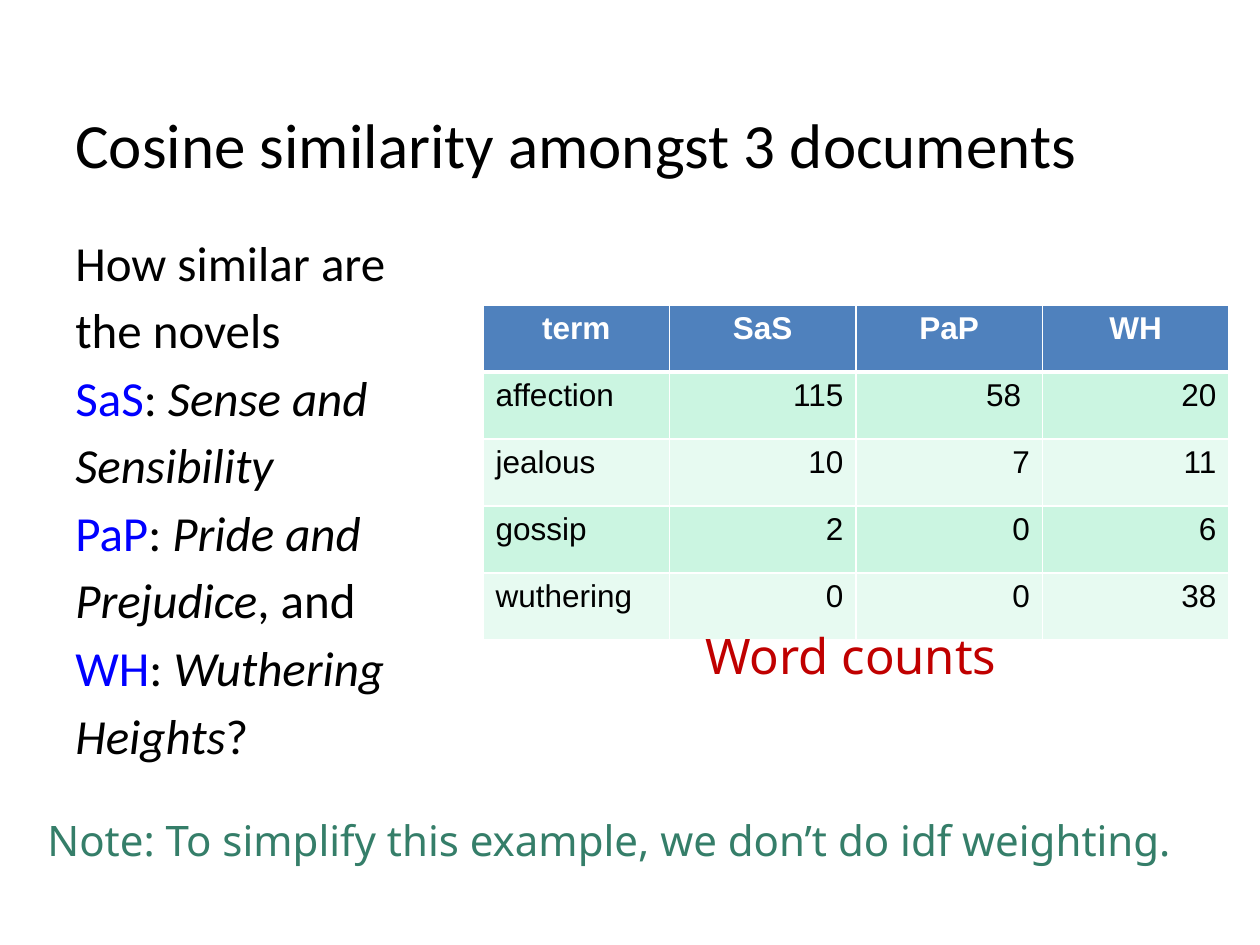
"""Build the slide on cosine similarity amongst three novels."""
from lxml import etree
from pptx import Presentation
from pptx import util as u
from pptx.dml.color import RGBColor
from pptx.enum import text
from pptx.oxml import ns

PX = u.Inches(1) // 126
BLACK = RGBColor(0x00, 0x00, 0x00)
WHITE = RGBColor(0xFF, 0xFF, 0xFF)
BLUE = RGBColor(0x00, 0x00, 0xFF)
RED = RGBColor(0xC0, 0x00, 0x00)
GREEN = RGBColor(0x35, 0x7E, 0x69)
HEADER_FILL = RGBColor(0x4F, 0x81, 0xBD)
BAND_FILLS = RGBColor(0xCB, 0xF5, 0xE1), RGBColor(0xE7, 0xFA, 0xF1)

PLAIN, NAME, NOVEL = (BLACK, False), (BLUE, False), (BLACK, True)
TITLE = [[("Cosine similarity amongst 3 documents", PLAIN)]]
QUESTION = [
    [("How similar are", PLAIN)],
    [("the novels", PLAIN)],
    [("SaS", NAME), (": ", PLAIN), ("Sense and", NOVEL)],
    [("Sensibility", NOVEL)],
    [("PaP", NAME), (": ", PLAIN), ("Pride and", NOVEL)],
    [("Prejudice", NOVEL), (", and", PLAIN)],
    [("WH", NAME), (": ", PLAIN), ("Wuthering", NOVEL)],
    [("Heights", NOVEL), ("?", PLAIN)],
]
CAPTION = [[("Word counts", (RED, False))]]
NOTE = [[("Note: To simplify this example, we don’t do idf weighting.", (GREEN, False))]]
COUNTS = [
    ("term", "SaS", "PaP", "WH"),
    ("affection", "115", "58 ", "20"),
    ("jealous", "10", "7", "11"),
    ("gossip", "2", "0", "6"),
    ("wuthering", "0", "0", "38"),
]
TABLE_BOX = (483, 305, 746, 335)


def scale(box):
    return [length * PX for length in box]


def style(run, font_name, size, color, bold=False, italic=False):
    font = run.font
    font.name, font.size, font.bold, font.italic = font_name, u.Pt(size), bold, italic
    font.color.rgb = color


def add_text(slide, box, paragraphs, font_name, size, wrap=True, space_before=0,
             anchor=text.MSO_ANCHOR.TOP):
    frame = slide.shapes.add_textbox(*scale(box)).text_frame
    frame.word_wrap = wrap
    frame.vertical_anchor = anchor
    for index, pieces in enumerate(paragraphs):
        paragraph = frame.add_paragraph() if index else frame.paragraphs[0]
        paragraph.space_before = u.Pt(space_before)
        for words, (color, italic) in pieces:
            run = paragraph.add_run()
            run.text = words
            style(run, font_name, size, color, italic=italic)


def set_borders(cell, widths):
    properties = cell._tc.get_or_add_tcPr()
    for position, (side, width) in enumerate(widths.items()):
        line = etree.Element(ns.qn(f"a:ln{side}"), w=str(u.Pt(width)))
        fill = etree.SubElement(line, ns.qn("a:solidFill"))
        etree.SubElement(fill, ns.qn("a:srgbClr"), val=str(WHITE))
        properties.insert(position, line)


def add_counts(slide):
    table = slide.shapes.add_table(len(COUNTS), len(COUNTS[0]), *scale(TABLE_BOX)).table
    for row, values in enumerate(COUNTS):
        header = row == 0
        for column, value in enumerate(values):
            cell = table.cell(row, column)
            cell.fill.solid()
            cell.fill.fore_color.rgb = HEADER_FILL if header else BAND_FILLS[(row - 1) % 2]
            set_borders(cell, {"L": 1, "R": 1, "T": 3 if row == 1 else 1, "B": 3 if header else 1})
            cell.text_frame.text = value
            paragraph = cell.text_frame.paragraphs[0]
            if header:
                paragraph.alignment = text.PP_ALIGN.CENTER
            else:
                paragraph.alignment = text.PP_ALIGN.RIGHT if column else text.PP_ALIGN.LEFT
            style(paragraph.runs[0], "Arial", 18, WHITE if header else BLACK, bold=header)


def main():
    presentation = Presentation()
    presentation.slide_width, presentation.slide_height = u.Inches(10), u.Inches(7.5)
    slide = presentation.slides.add_slide(presentation.slide_layouts[6])
    add_text(slide, (63, 67, 1187, 120), TITLE, "Calibri", 36, anchor=text.MSO_ANCHOR.BOTTOM)
    add_counts(slide)
    add_text(slide, (63, 226, 415, 646), QUESTION, "Calibri", 28, space_before=5)
    add_text(slide, (693, 619, 326, 72), CAPTION, "Noto Sans", 28, wrap=False)
    add_text(slide, (35, 808, 1225, 64), NOTE, "Noto Sans", 24, wrap=False)
    presentation.save("out.pptx")


if __name__ == "__main__":
    main()
